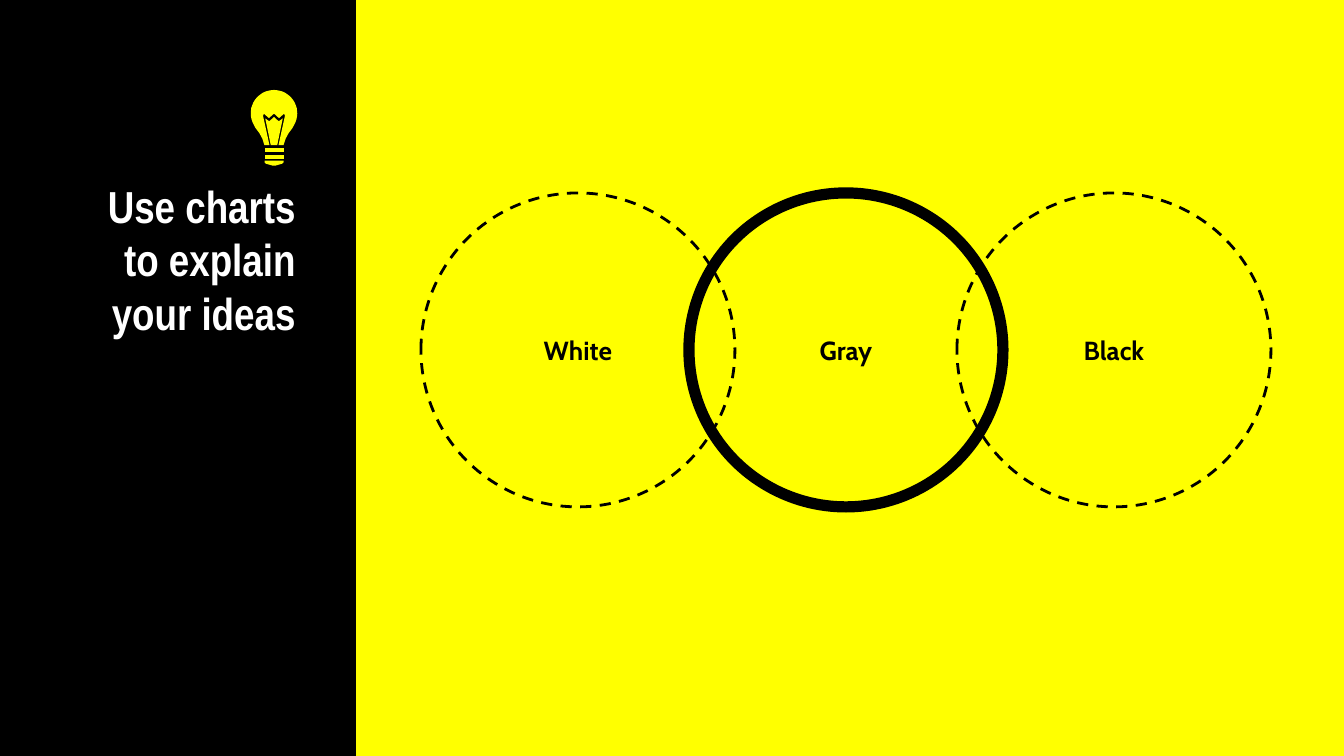
import math

from pptx import Presentation
from pptx import util as u
from pptx.dml.color import RGBColor
from pptx.enum import dml, shapes, text

PX = 914400 / 134.4
BULB_GRID = PX / 4  # the bulb is drawn on a grid of quarter pixels
BLACK = RGBColor(0x00, 0x00, 0x00)
WHITE = RGBColor(0xFF, 0xFF, 0xFF)
YELLOW = RGBColor(0xFF, 0xFF, 0x00)


def px(n):
    return u.Emu(round(n * PX))


def set_text(sp, words, font, color, size, align, anchor):
    tf = sp.text_frame
    frame = dict(word_wrap=True, auto_size=text.MSO_AUTO_SIZE.NONE, vertical_anchor=anchor)
    for side in ("left", "top", "right", "bottom"):
        frame["margin_" + side] = u.Inches(0.1)
    for name, value in frame.items():
        setattr(tf, name, value)
    p = tf.paragraphs[0]
    p.alignment = align
    r = p.add_run()
    r.text = words
    for name, value in dict(name=font, size=u.Pt(size), bold=True).items():
        setattr(r.font, name, value)
    r.font.color.rgb = color


def add_bulb(s, left, top, width):
    """Mirror each right-hand half outline about the middle of the bulb."""
    radius = 93
    dome = [(radius * math.sin(math.radians(a)), radius - radius * math.cos(math.radians(a)))
            for a in range(0, 106, 7)]
    neck = [(86, 129), (74, 152), (59, 172), (47, 194), (38, 221)]
    cavity = [(18, 221), (32, 157), (44, 103), (41, 97), (38, 97), (20, 113), (3, 97), (0, 97)]
    filament = [(0, 108), (17, 124), (21, 124), (35, 114), (13, 221)]
    bands = [[(38, y), (38, y + 16)] for y in (232, 259)]
    tip = [(38, 283), (38, 290), (33, 295), (5, 303)]

    group = s.shapes.add_group_shape()
    for half in [dome + neck + cavity, filament, *bands, tip]:
        outline = half + [(-x, y) for x, y in reversed(half)]
        builder = group.shapes.build_freeform(*outline[0], scale=BULB_GRID)
        builder.add_line_segments(outline[1:], close=True)
        sp = builder.convert_to_shape(px(left + width / 2), px(top))
        sp.shadow.inherit = False
        sp.fill.solid()
        sp.fill.fore_color.rgb = YELLOW
        sp.line.fill.background()


def add_side_panel(s, left, top, width, height):
    panel = s.shapes.add_shape(shapes.MSO_SHAPE.RECTANGLE, px(left), px(top), px(width), px(height))
    panel.shadow.inherit = False
    panel.fill.solid()
    panel.fill.fore_color.rgb = BLACK
    panel.line.fill.background()

    title = s.shapes.title
    title.element.addprevious(panel.element)
    box = dict(left=left + 59, top=top + 165, width=250, height=218)
    for name, value in box.items():
        setattr(title, name, px(value))
    set_text(title, "Use charts to explain your ideas", "Arial Narrow", WHITE, 24,
             text.PP_ALIGN.RIGHT, text.MSO_ANCHOR.TOP)
    add_bulb(s, left + 251, top + 90, 46)


def add_circles(s, left, top, width, diameter):
    """Spread three overlapping circles evenly, the middle one at the back."""
    step = (width - diameter) / 2
    for column, label, weight, dash in [
        (1, "Gray", 6, dml.MSO_LINE.SOLID),
        (0, "White", 1.5, dml.MSO_LINE.DASH),
        (2, "Black", 1.5, dml.MSO_LINE.DASH),
    ]:
        circle = s.shapes.add_shape(shapes.MSO_SHAPE.OVAL, px(left + column * step), px(top),
                                    px(diameter), px(diameter))
        circle.shadow.inherit = False
        circle.fill.background()
        circle.line.color.rgb = BLACK
        circle.line.width = u.Pt(weight)
        circle.line.dash_style = dash
        set_text(circle, label, "Cabin", BLACK, 14, text.PP_ALIGN.CENTER, text.MSO_ANCHOR.MIDDLE)


def main():
    prs = Presentation()
    prs.slide_width, prs.slide_height = px(1344), px(756)
    s = prs.slides.add_slide(prs.slide_layouts.get_by_name("Title Only"))
    s.background.fill.solid()
    s.background.fill.fore_color.rgb = YELLOW
    add_side_panel(s, 0, 0, 356, 756)
    add_circles(s, 421, 193, 850, 314)
    prs.save("out.pptx")


if __name__ == "__main__":
    main()
